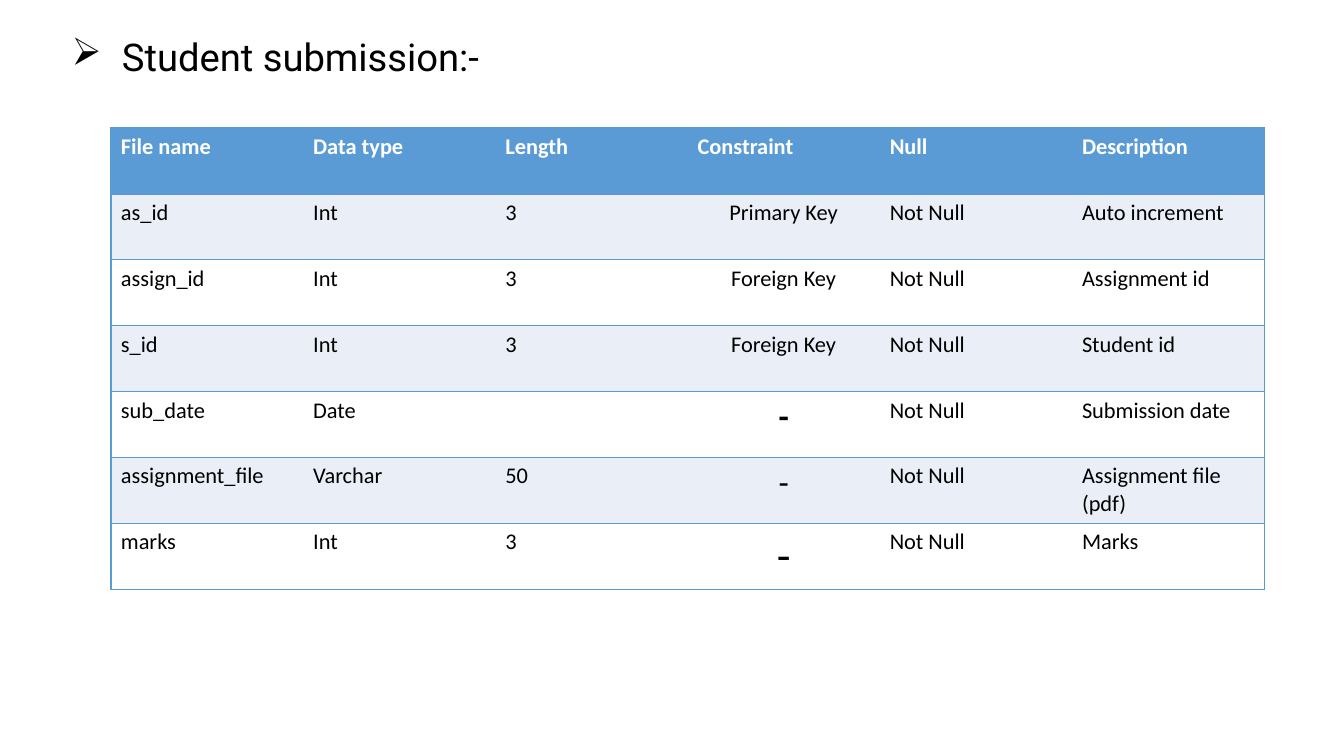
from lxml import etree
from pptx import Presentation
from pptx.dml.color import RGBColor
from pptx.enum.text import MSO_ANCHOR, MSO_AUTO_SIZE, PP_ALIGN
from pptx.oxml.ns import qn
from pptx.util import Inches, Pt

LEFT = PP_ALIGN.LEFT
CENTER = PP_ALIGN.CENTER
TOP = MSO_ANCHOR.TOP
NO_AUTOFIT = MSO_AUTO_SIZE.NONE
TITLE_ONLY = 5

BLUE = "5B9BD5"
PALE_BLUE = "EAEFF7"
WHITE = "FFFFFF"
BLACK = "000000"

HEADER = ["File name", "Data type", "Length", "Constraint", "Null", "Description"]
FIELDS = [
    ["as_id", "Int", "3", "Primary Key", "Not Null", "Auto increment"],
    ["assign_id", "Int", "3", "Foreign Key", "Not Null", "Assignment id"],
    ["s_id", "Int", "3", "Foreign Key", "Not Null", "Student id"],
    ["sub_date", "Date", "", "-", "Not Null", "Submission date"],
    ["assignment_file", "Varchar", "50", "-", "Not Null", "Assignment file (pdf)"],
    ["marks", "Int", "3", "-", "Not Null", "Marks"],
]
CONSTRAINT = HEADER.index("Constraint")
DASH_STYLES = {"sub_date": (24, True), "assignment_file": (24, False), "marks": (32, False)}


def color(hex_code):
    return RGBColor.from_string(hex_code)


def add_span(para, text, font_name, size, hex_code, bold=False):
    span = para.add_run()
    span.text = text
    span.font.name = font_name
    span.font.size = Pt(size)
    span.font.bold = bold
    span.font.color.rgb = color(hex_code)


def add_heading(page, left, top, width, height):
    box = page.shapes.title
    box.left, box.top = Inches(left), Inches(top)
    box.width, box.height = Inches(width), Inches(height)
    frame = box.text_frame
    frame.word_wrap = True
    frame.auto_size = NO_AUTOFIT
    frame.vertical_anchor = TOP
    para = frame.paragraphs[0]
    para.alignment = LEFT
    para.line_spacing = 0.8
    properties = para._p.get_or_add_pPr()
    properties.set("marL", str(Inches(0.5)))
    properties.set("indent", str(Inches(-0.5)))
    etree.SubElement(properties, qn("a:buChar"), char="➢")
    add_span(para, "Student submission:-", "Roboto", 27.3, BLACK)


def set_borders(cell, visible_sides):
    properties = cell._tc.get_or_add_tcPr()
    for side in "LRTB":
        line = etree.SubElement(properties, qn(f"a:ln{side}"), w=str(Pt(1)))
        if side in visible_sides:
            fill = etree.SubElement(line, qn("a:solidFill"))
            etree.SubElement(fill, qn("a:srgbClr"), val=BLUE)
        else:
            etree.SubElement(line, qn("a:noFill"))


def fill_cell(cell, text, fill, hex_code, size, bold, alignment):
    cell.fill.solid()
    cell.fill.fore_color.rgb = color(fill)
    para = cell.text_frame.paragraphs[0]
    para.alignment = alignment
    if text:
        add_span(para, text, "Calibri", size, hex_code, bold)


def add_field_table(page, left, top, width, height):
    rows = [HEADER] + FIELDS
    frame = page.shapes.add_table(
        len(rows), len(HEADER), Inches(left), Inches(top), Inches(width), Inches(height)
    )
    table = frame.table
    table.horz_banding = False
    last = len(HEADER) - 1
    for row_index, values in enumerate(rows):
        is_header = row_index == 0
        fill = BLUE if is_header else PALE_BLUE if row_index % 2 else WHITE
        hex_code = WHITE if is_header else BLACK
        for column, text in enumerate(values):
            cell = table.cell(row_index, column)
            set_borders(cell, "TB" + {0: "L", last: "R"}.get(column, ""))
            size, bold = DASH_STYLES[values[0]] if text == "-" else (16, is_header)
            centered = column == CONSTRAINT and not is_header
            fill_cell(cell, text, fill, hex_code, size, bold, CENTER if centered else LEFT)


def main():
    deck = Presentation()
    deck.slide_width, deck.slide_height = Inches(13.33), Inches(7.5)
    page = deck.slides.add_slide(deck.slide_layouts[TITLE_ONLY])
    page.background.fill.solid()
    page.background.fill.fore_color.rgb = color(WHITE)
    add_heading(page, 0.61, 0.37, 11.5, 0.49)
    add_field_table(page, 1.1, 1.27, 11.44, 4.58)
    deck.save("out.pptx")


if __name__ == "__main__":
    main()
